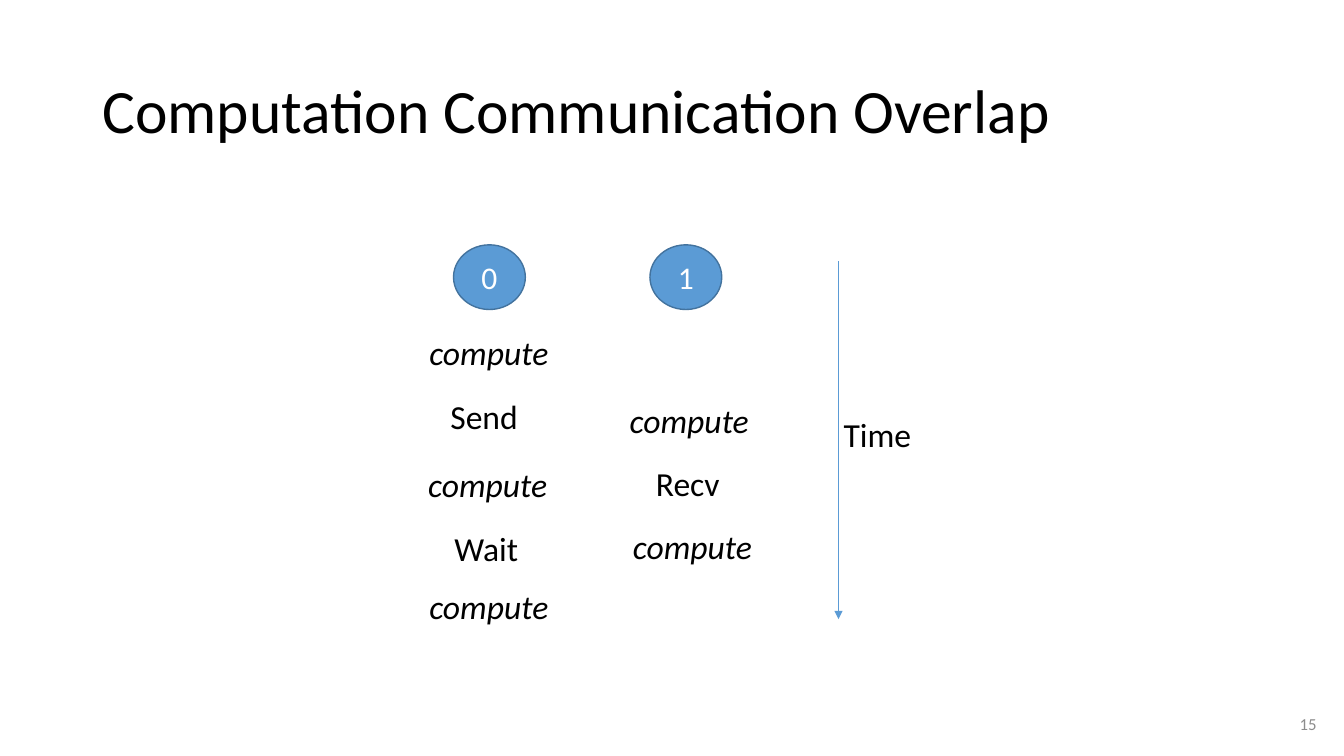
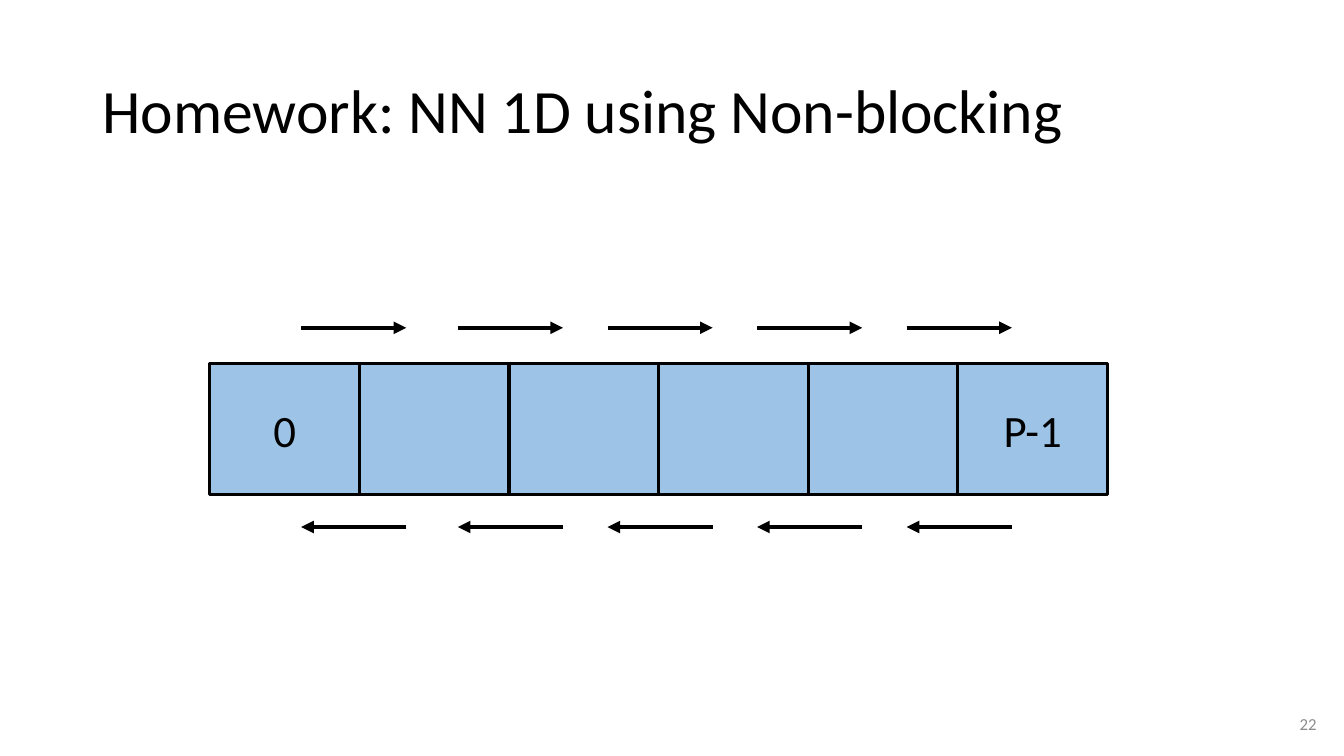
from pptx import Presentation
from pptx import util as u
from pptx.dml import color
from pptx.enum import shapes, text
from pptx.oxml import parse_xml
from pptx.oxml.ns import nsdecls, qn

COLOURS = {
    "ink": "000000",
    "paper": "FFFFFF",
    "number": "8C8C8C",
    "process": "5B9BD5",
    "process_edge": "43739E",
    "cell": "9DC3E6",
}
ALIGN = text.PP_ALIGN
ANCHOR = text.MSO_ANCHOR


def rgb(name):
    return color.RGBColor.from_string(COLOURS[name])


class Deck:
    """Holds the shared style and the slide being drawn."""

    font = "Calibri"

    def __init__(self):
        self.presentation = Presentation()
        self.presentation.slide_width = u.Cm(33.87)
        self.presentation.slide_height = u.Cm(19.05)
        self.slide = None

    def add_slide(self, title, number):
        layout = self.presentation.slide_layouts[5]
        self.slide = self.presentation.slides.add_slide(layout)
        shape = self.slide.shapes.title
        place = {"left": 2.33, "top": 1.01, "width": 29.21, "height": 3.68}
        for name, value in place.items():
            setattr(shape, name, u.Cm(value))
        self.set_text(shape, title, 44, anchor=ANCHOR.MIDDLE)
        shape.text_frame.paragraphs[0].line_spacing = 0.9
        self.label(number, 25.81, 17.73, 7.62, 1.02, size=12, ink="number",
                   align=ALIGN.RIGHT, anchor=ANCHOR.MIDDLE)

    def set_text(self, shape, words, size, ink="ink", align=ALIGN.LEFT,
                 anchor=ANCHOR.TOP, italic=False, wrap=True):
        frame = shape.text_frame
        frame_format = {"word_wrap": wrap, "vertical_anchor": anchor,
                        "auto_size": text.MSO_AUTO_SIZE.NONE}
        for name, value in frame_format.items():
            setattr(frame, name, value)
        paragraph = frame.paragraphs[0]
        paragraph.alignment = align
        run = paragraph.add_run()
        run.text = words
        font_format = {"name": self.font, "size": u.Pt(size), "italic": italic}
        for name, value in font_format.items():
            setattr(run.font, name, value)
        run.font.color.rgb = rgb(ink)

    def label(self, words, left, top, width, height=1.27, size=24, **style):
        box = self.slide.shapes.add_textbox(
            u.Cm(left), u.Cm(top), u.Cm(width), u.Cm(height))
        self.set_text(box, words, size, **style)

    def node(self, kind, words, left, top, width, height, fill, edge, weight,
             size, ink):
        shape = self.slide.shapes.add_shape(
            kind, u.Cm(left), u.Cm(top), u.Cm(width), u.Cm(height))
        shape.shadow.inherit = False
        shape.fill.solid()
        shape.fill.fore_color.rgb = rgb(fill)
        shape.line.color.rgb = rgb(edge)
        shape.line.width = u.Pt(weight)
        if words:
            self.set_text(shape, words, size, ink, ALIGN.CENTER, ANCHOR.MIDDLE)

    def arrow(self, x1, y1, x2, y2, ink, weight):
        connector = self.slide.shapes.add_connector(
            shapes.MSO_CONNECTOR.STRAIGHT,
            u.Cm(x1), u.Cm(y1), u.Cm(x2), u.Cm(y2))
        connector.line.color.rgb = rgb(ink)
        connector.line.width = u.Pt(weight)
        # Arrowhead at the end, and no theme shadow
        properties = connector._element.spPr
        properties.find(qn("a:ln")).append(
            parse_xml(f'<a:tailEnd {nsdecls("a")} type="triangle"/>'))
        properties.append(parse_xml(f'<a:effectLst {nsdecls("a")}/>'))


def overlap_slide(deck):
    deck.add_slide("Computation Communication Overlap", "15")

    # Processes
    for rank, left in enumerate((11.43, 16.38)):
        deck.node(shapes.MSO_SHAPE.OVAL, str(rank), left, 6.17, 1.81, 1.63,
                  "process", "process_edge", 1, 22.5, "paper")

    # Steps of each process, and the name of the time axis
    widths = {"compute": 3.56, "Send": 2.24, "Recv": 2.13, "Wait": 2.13,
              "Time": 2.24}
    steps = [
        ("compute", 10.57, 8.23),
        ("Send", 11.1, 9.86),
        ("compute", 10.54, 11.56),
        ("Wait", 11.2, 13.18),
        ("compute", 10.57, 14.63),
        ("compute", 15.62, 9.96),
        ("Recv", 16.28, 11.53),
        ("compute", 15.7, 13.13),
        ("Time", 21.01, 10.31),
    ]
    for words, left, top in steps:
        deck.label(words, left, top, widths[words],
                   italic=words == "compute", wrap=False)

    # Time axis
    deck.arrow(21.13, 6.58, 21.13, 15.6, "process", 0.5)


def neighbour_slide(deck):
    deck.add_slide("Homework: NN 1D using Non-blocking", "22")
    pitch = 3.77

    # Row of processes
    for column, words in enumerate(("0", "", "", "", "", "P-1")):
        deck.node(shapes.MSO_SHAPE.RECTANGLE, words, 5.29 + column * pitch,
                  9.17, pitch, 3.3, "cell", "ink", 2.25, 32, "ink")

    # Messages to the right above the row, to the left below it
    length = 2.65
    starts = [7.59] + [11.54 + gap * pitch for gap in range(4)]
    for left in starts:
        deck.arrow(left, 8.26, left + length, 8.26, "ink", 3)
        deck.arrow(left + length, 13.28, left, 13.28, "ink", 3)


def main():
    deck = Deck()
    overlap_slide(deck)
    neighbour_slide(deck)
    deck.presentation.save("out.pptx")


if __name__ == "__main__":
    main()
